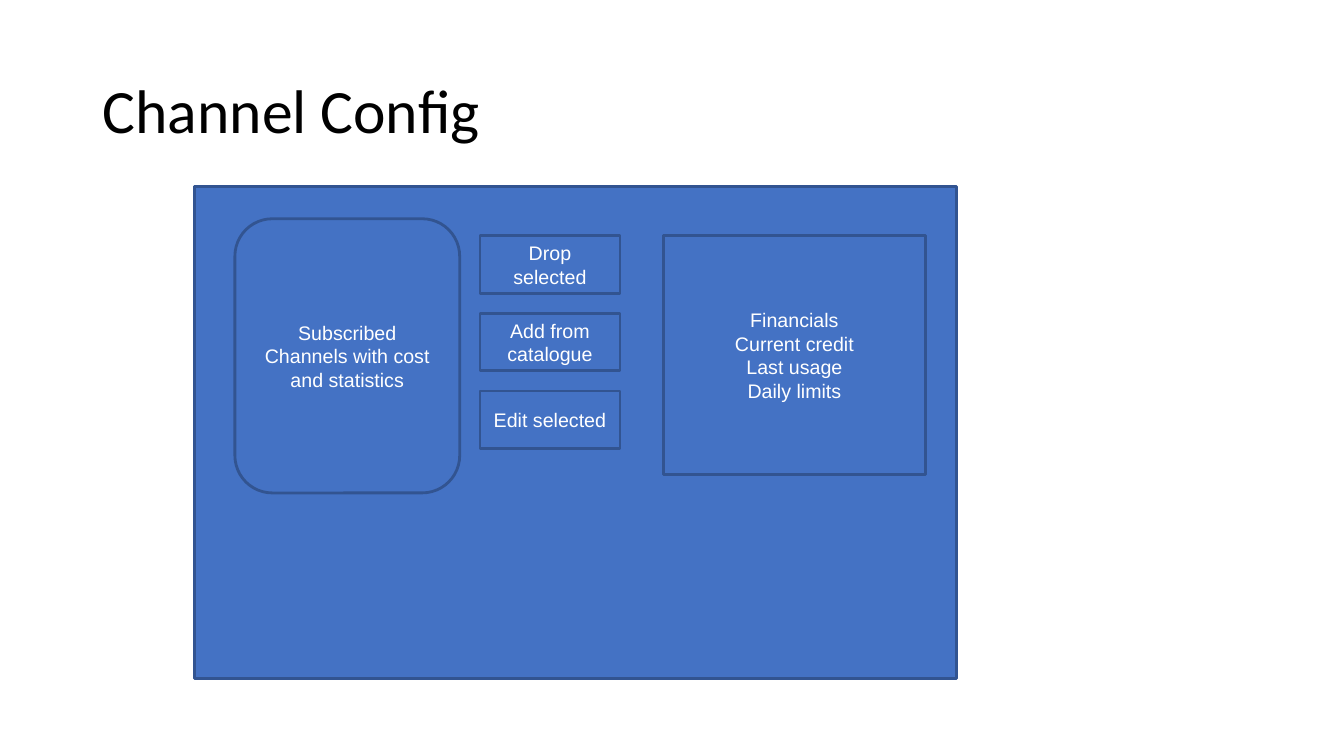
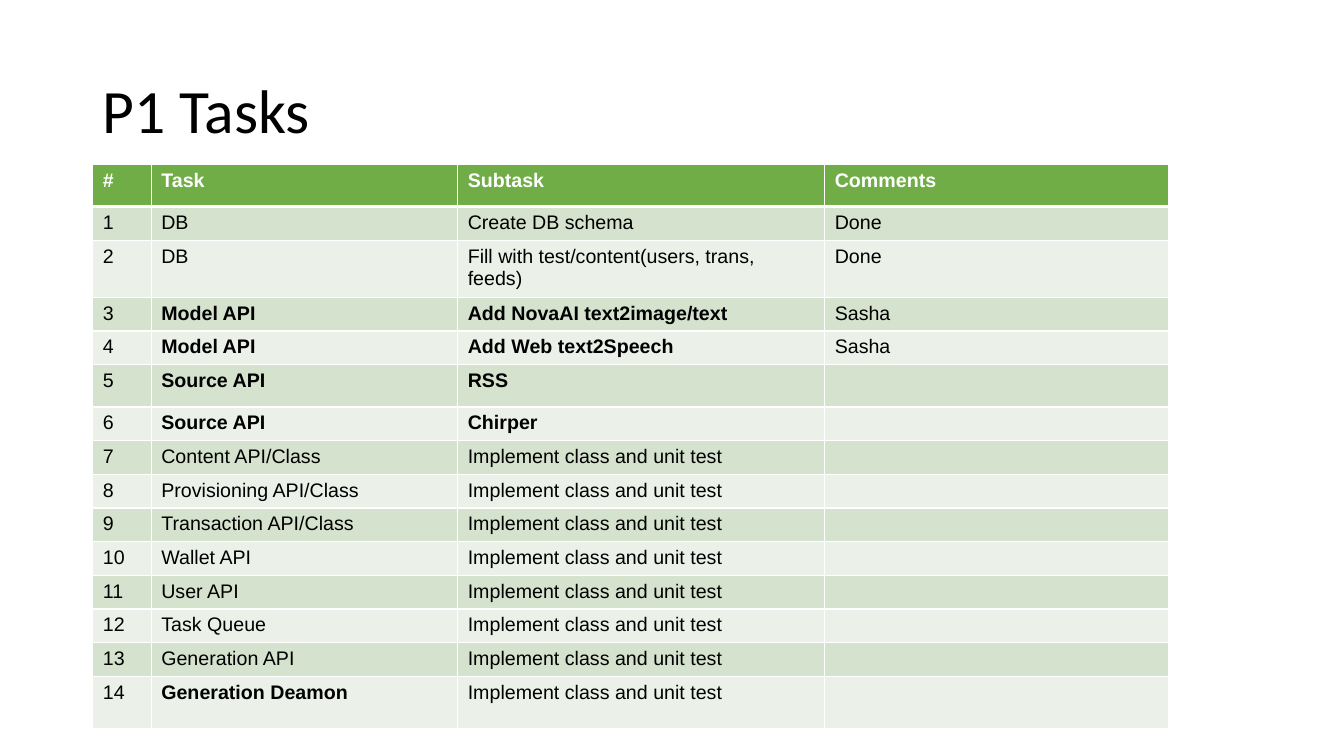
from lxml.etree import SubElement
from pptx import Presentation
from pptx.dml.color import RGBColor
from pptx.enum.shapes import MSO_SHAPE
from pptx.enum.text import MSO_ANCHOR, PP_ALIGN
from pptx.oxml.ns import qn
from pptx.util import Emu, Pt

PX = 9144
BODY_SIZE = 14
BLACK, WHITE = "000000", "FFFFFF"
BLUE, DARK_BLUE = "4472C4", "325491"
GREEN, BANDS = "70AD47", ("EBF1E8", "D4E2CE")
TITLE_BOX = (92, 40, 1150, 145)

UNIT_TEST = "Implement class and unit test"
TASK_HEADER = ("#", "Task", "Subtask", "Comments")
TASKS = [
    ("DB", "Create DB schema", "Done"),
    ("DB", "Fill with test/content(users, trans, feeds)", "Done"),
    ("Model API", "Add NovaAI text2image/text", "Sasha"),
    ("Model API", "Add Web text2Speech", "Sasha"),
    ("Source API", "RSS", ""),
    ("Source API", "Chirper", ""),
    ("Content API/Class", UNIT_TEST, ""),
    ("Provisioning API/Class", UNIT_TEST, ""),
    ("Transaction API/Class", UNIT_TEST, ""),
    ("Wallet API", UNIT_TEST, ""),
    ("User API", UNIT_TEST, ""),
    ("Task Queue", UNIT_TEST, ""),
    ("Generation API", UNIT_TEST, ""),
    ("Generation Deamon", UNIT_TEST, ""),
]
BOLD_TASKS = {"Model API", "Source API", "Generation Deamon"}
BOLD_SUBTASKS = {"Model API", "Source API"}
TASK_COLUMNS = (58, 304, 364, 341)
ROW_HEIGHT = 31
TALL_ROWS = {0: 42, 5: 42, 14: 52}


def px(*lengths):
    return [Emu(length * PX) for length in lengths]


def color(value):
    return RGBColor.from_string(value)


def write(frame, text, *, size=BODY_SIZE, font="Arial", fill=BLACK, bold=False,
          align=None, anchor=None, spacing=None):
    frame.word_wrap = True
    if anchor is not None:
        frame.vertical_anchor = anchor
    for index, line in enumerate(text.split("\n")):
        paragraph = frame.add_paragraph() if index else frame.paragraphs[0]
        paragraph.alignment = align
        paragraph.line_spacing = spacing
        if not line:
            SubElement(paragraph._p, qn("a:endParaRPr"), sz=str(size * 100))
            continue
        run = paragraph.add_run()
        run.text = line
        run.font.size, run.font.name, run.font.bold = Pt(size), font, bold
        run.font.color.rgb = color(fill)


def add_titled_slide(deck, title):
    slide = deck.slides.add_slide(deck.slide_layouts[6])
    box = slide.shapes.add_textbox(*px(*TITLE_BOX))
    write(box.text_frame, title, size=44, font="Calibri",
          anchor=MSO_ANCHOR.MIDDLE, spacing=0.9)
    return slide


def add_block(slide, box, text="", preset=MSO_SHAPE.RECTANGLE):
    block = slide.shapes.add_shape(preset, *px(*box))
    block.shadow.inherit = False
    block.fill.solid()
    block.fill.fore_color.rgb = color(BLUE)
    block.line.color.rgb = color(DARK_BLUE)
    block.line.width = Pt(2)
    if text:
        write(block.text_frame, text, fill=WHITE, align=PP_ALIGN.CENTER,
              anchor=MSO_ANCHOR.MIDDLE)


def add_channel_panel(slide, box):
    left, top, _, _ = box
    add_block(slide, box)
    add_block(slide, (left + 40, top + 32, 223, 272),
              "Subscribed Channels with cost and statistics",
              MSO_SHAPE.ROUNDED_RECTANGLE)
    for index, action in enumerate(("Drop selected", "Add from catalogue", "Edit selected")):
        add_block(slide, (left + 283, top + 49 + index * 77, 139, 57), action)
    add_block(slide, (left + 465, top + 49, 260, 237),
              "Financials\nCurrent credit\nLast usage\nDaily limits")


def add_border(cell, side, width):
    line = SubElement(cell._tc.get_or_add_tcPr(), qn(f"a:ln{side}"), w=str(Pt(width)))
    SubElement(SubElement(line, qn("a:solidFill")), qn("a:srgbClr"), val=WHITE)


def format_cell(cell, text, row, bold):
    header = row == 0
    write(cell.text_frame, text, fill=WHITE if header else BLACK, bold=bold)
    widths = {"L": 1, "R": 1, "T": 3 if row == 1 else 1, "B": 3 if header else 1}
    for side, width in widths.items():
        add_border(cell, side, width)
    cell.fill.solid()
    cell.fill.fore_color.rgb = color(GREEN if header else BANDS[row % 2])


def add_task_table(slide, left, top):
    rows = [TASK_HEADER] + [(str(number), *task) for number, task in enumerate(TASKS, 1)]
    heights = [TALL_ROWS.get(row, ROW_HEIGHT) for row in range(len(rows))]
    table = slide.shapes.add_table(
        len(rows), len(TASK_COLUMNS),
        *px(left, top, sum(TASK_COLUMNS), sum(heights))).table
    table.first_row = table.horz_banding = False
    for column, width in zip(table.columns, px(*TASK_COLUMNS)):
        column.width = width
    for row, (values, height) in enumerate(zip(rows, px(*heights))):
        table.rows[row].height = height
        task = values[1]
        bolds = (False, task in BOLD_TASKS, task in BOLD_SUBTASKS, False)
        for column, (value, bold) in enumerate(zip(values, bolds)):
            format_cell(table.cell(row, column), value, row, row == 0 or bold)


def main():
    deck = Presentation()
    deck.slide_width, deck.slide_height = px(1333, 750)
    add_channel_panel(add_titled_slide(deck, "Channel Config"), (193, 185, 756, 488))
    add_task_table(add_titled_slide(deck, "P1 Tasks"), 92, 163)
    deck.save("out.pptx")


if __name__ == "__main__":
    main()
